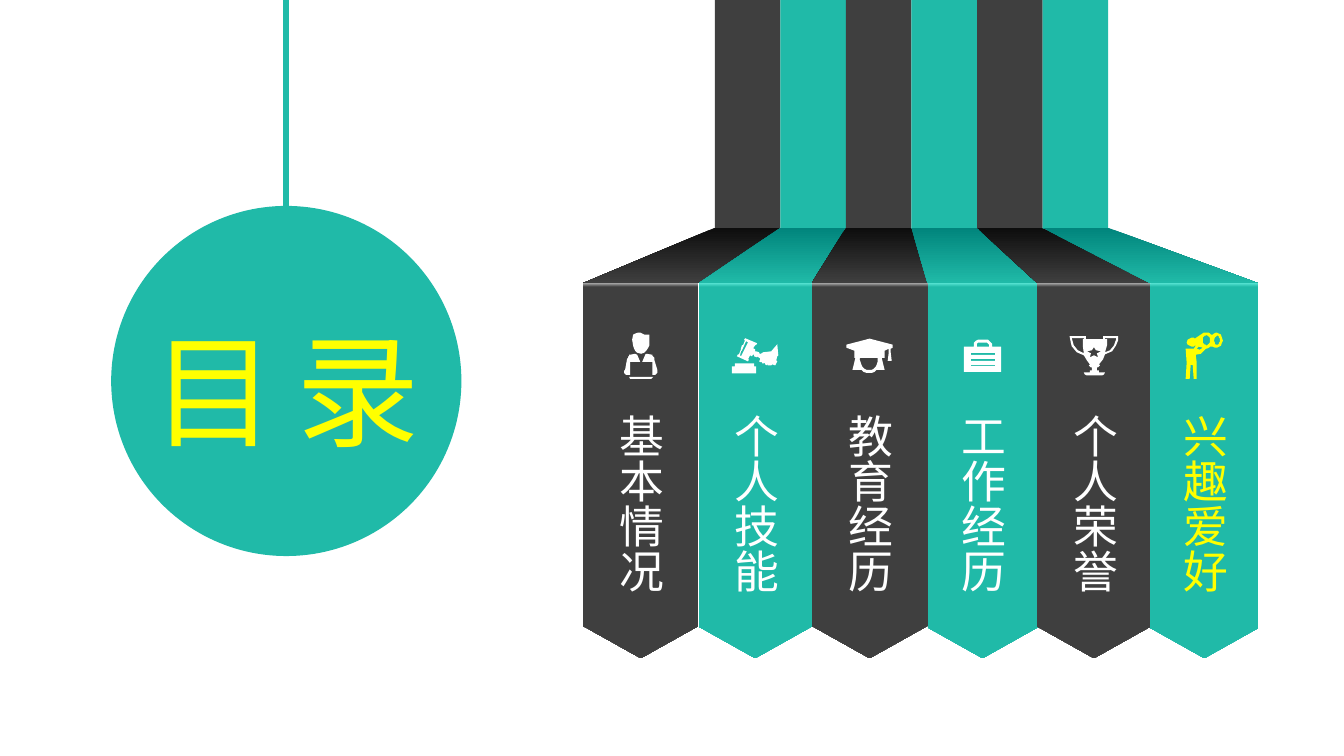
import pptx
import pptx.util
import pptx.dml.color
import pptx.enum.shapes
import pptx.enum.text
import pptx.oxml
from dataclasses import dataclass

Inches = pptx.util.Inches
Kind = pptx.enum.shapes.MSO_SHAPE


@dataclass(frozen=True)
class Theme:
    font: str = "Noto Sans CJK SC"
    teal: str = "20BAA8"
    deep: str = "01857C"
    mint: str = "54E2D1"
    gray: str = "3F3F3F"
    dark: str = "0D0D0D"
    pale: str = "A6A6A6"
    white: str = "FFFFFF"
    gold: str = "FFFF00"
    large: int = 88
    small: int = 32


def tint(code):
    return pptx.dml.color.RGBColor.from_string(code)


def write(frame, text, *, font, size, color, gap=0, vert=None):
    frame.word_wrap = False
    frame.auto_size = pptx.enum.text.MSO_AUTO_SIZE.SHAPE_TO_FIT_TEXT
    frame.vertical_anchor = pptx.enum.text.MSO_ANCHOR.MIDDLE
    if vert:
        frame._txBody.bodyPr.set("vert", vert)
    para = frame.paragraphs[0]
    para.alignment = pptx.enum.text.PP_ALIGN.LEFT
    run = para.add_run()
    run.text = text
    run.font.name = font
    run.font.size = pptx.util.Pt(size)
    run.font.color.rgb = tint(color)
    props = run.font._element
    if gap:
        props.set("spc", str(gap * 100))
    east = pptx.oxml.parse_xml(
        '<a:ea xmlns:a="http://schemas.openxmlformats.org/drawingml/2006/main"/>')
    east.set("typeface", font)
    props.find(pptx.oxml.ns.qn("a:latin")).addnext(east)


class Deck:
    def __init__(self, theme):
        self.theme = theme
        self.show = pptx.Presentation()
        self.show.slide_width = Inches(13.33)
        self.show.slide_height = Inches(7.5)
        self.slide = self.show.slides.add_slide(self.show.slide_layouts[5])
        self.shapes = self.slide.shapes

    def paint(self, shape, fill, angle=0, stop=1):
        shape.shadow.inherit = False
        shape.line.fill.background()
        if isinstance(fill, str):
            shape.fill.solid()
            shape.fill.fore_color.rgb = tint(fill)
            return
        shape.fill.gradient()
        shape.fill.gradient_angle = angle
        for mark, code, place in zip(shape.fill.gradient_stops, fill, (0, stop)):
            mark.color.rgb = tint(code)
            mark.position = place

    def shape(self, kind, left, top, width, height, fill, **style):
        item = self.shapes.add_shape(
            kind, Inches(left), Inches(top), Inches(width), Inches(height))
        self.paint(item, fill, **style)
        return item

    def free(self, loops, left, top, fill, **style):
        pen = self.shapes.build_freeform(*loops[0][0], scale=Inches(0.01))
        for turn, loop in enumerate(loops):
            if turn:
                pen.move_to(*loop[0])
            pen.add_line_segments(loop[1:], close=True)
        self.paint(pen.convert_to_shape(Inches(left), Inches(top)), fill, **style)

    def icon(self, code, mid, level, fill):
        loops = [[tuple(map(int, dot.split(","))) for dot in part.split()]
                 for part in code.split("/")]
        dots = sum(loops, [])
        width, height = (max(axis) / 100 for axis in zip(*dots))
        self.free(loops, mid - width / 2, level - height / 2, fill)

    def line(self, start, end, color, width):
        item = self.shapes.add_connector(
            pptx.enum.shapes.MSO_CONNECTOR.STRAIGHT, *map(Inches, start + end))
        item.line.color.rgb = tint(color)
        item.line.width = pptx.util.Pt(width)
        item._element.spPr.append(pptx.oxml.parse_xml(
            '<a:effectLst xmlns:a="http://schemas.openxmlformats.org/drawingml/2006/main"/>'))

    def title(self, text, left, top, width, height, **style):
        item = self.shapes.title
        item.left, item.top = Inches(left), Inches(top)
        item.width, item.height = Inches(width), Inches(height)
        self.shapes._spTree.append(item._element)
        write(item.text_frame, text, font=self.theme.font, **style)

    def label(self, text, left, top, width, height, **style):
        item = self.shapes.add_textbox(
            Inches(left), Inches(top), Inches(width), Inches(height))
        write(item.text_frame, text, font=self.theme.font, **style)


PERSON = (
    "5,44 29,44 27,46 6,46 / 11,21 13,22 16,29 6,29 6,42 2,42 1,41 0,40 0,38 1,37 "
    "3,26 4,25 4,24 5,23 5,22 6,22 / 22,21 28,22 28,23 29,24 30,25 30,27 33,37 33,40 "
    "32,41 31,42 28,42 28,29 18,29 21,22 / 14,0 16,0 18,1 20,2 25,2 25,13 24,15 22,18 "
    "20,20 17,21 13,20 11,18 10,16 9,13 8,7 9,2 11,1")
GAVEL = (
    "3,25 22,25 22,28 24,28 24,35 0,35 0,28 3,28 / 14,3 10,12 9,13 8,17 9,18 11,14 "
    "12,12 16,4 / 13,0 25,5 24,7 23,7 21,10 23,11 23,13 24,13 27,14 27,15 30,16 29,15 "
    "31,14 39,13 45,6 46,17 45,18 44,22 45,23 44,25 43,27 40,26 39,27 36,27 36,25 "
    "35,27 33,26 33,24 32,25 30,25 30,23 29,24 27,23 28,21 28,20 25,18 25,19 22,18 "
    "22,17 21,16 20,18 18,17 16,21 17,21 16,23 5,18 6,16 7,16 9,11 9,10 10,7 11,7 "
    "13,2 12,2")
CAP = (
    "14,19 13,20 14,23 15,26 16,28 18,30 20,31 25,31 27,30 29,28 30,26 31,23 31,19 / "
    "23,0 46,6 46,9 44,10 44,14 45,22 41,22 42,14 42,10 38,12 38,19 35,19 38,31 30,31 "
    "28,33 25,34 20,34 17,33 15,31 6,31 9,19 8,19 8,12 0,9 0,6")
CASE = (
    "7,25 7,26 31,26 31,25 / 7,19 7,21 31,21 31,19 / 7,13 7,15 31,15 31,13 / "
    "15,3 14,3 13,4 13,7 25,7 25,5 24,4 23,3 / 15,0 24,0 25,1 26,2 27,3 28,4 28,7 "
    "37,7 37,32 0,32 0,7 10,7 10,3 11,2 12,1 14,0")
CUP = (
    "35,0 33,0 33,3 16,3 16,0 0,0 0,1 1,6 2,10 7,16 14,19 17,24 20,28 19,29 21,31 "
    "22,31 22,34 20,34 20,36 14,36 15,38 17,39 32,39 34,38 35,36 29,36 29,34 27,34 "
    "27,31 28,31 30,29 29,28 33,23 35,18 42,15 46,9 48,4 48,0 / 14,3 13,3 13,10 14,17 "
    "8,14 4,9 2,2 14,2 / 27,17 28,21 24,19 20,21 21,17 17,15 22,14 24,11 26,14 31,15 / "
    "44,9 40,14 35,16 37,9 37,3 35,3 35,2 46,2 46,3")
SCOUT = (
    "13,14 17,15 14,17 11,16 / 31,3 32,3 33,4 33,5 34,6 34,9 33,10 33,11 32,12 30,12 "
    "29,11 29,10 28,8 29,5 30,4 / 21,2 21,3 22,3 23,4 24,5 24,10 23,11 22,12 21,13 "
    "20,12 19,12 18,11 17,10 17,5 18,4 19,3 20,3 / 21,0 18,0 9,6 8,5 6,5 4,6 2,7 1,10 "
    "2,12 4,13 6,14 8,14 9,13 10,13 8,16 0,16 1,30 0,46 4,46 5,32 7,32 8,46 11,46 "
    "11,30 10,22 15,21 20,16 21,16 23,15 24,14 27,14 29,15 31,15 33,14 35,13 36,10 "
    "37,8 36,5 35,2 33,1 31,0 30,0 28,1 27,2 25,2 23,0")

theme = Theme()
deck = Deck(theme)

deck.line((2.84, 0), (2.84, 2.76), theme.teal, 4.5)
disc = deck.shape(Kind.OVAL, 1.11, 2.05, 3.46, 3.46, theme.teal)
disc.line.color.rgb = tint(theme.teal)
disc.line.width = pptx.util.Pt(1)
deck.title("目录", 1.41, 3.06, 3.06, 1.58, size=theme.large, color=theme.gold, gap=15)

topics = [("基本情况", PERSON), ("个人技能", GAVEL), ("教育经历", CAP),
          ("工作经历", CASE), ("个人荣誉", CUP), ("兴趣爱好", SCOUT)]
edges = [5.78, 6.93, 8.05, 9.2, 10.29, 11.41, 12.48]
tones = [(theme.gray, theme.dark, theme.pale), (theme.teal, theme.deep, theme.mint)]
first, step, bend, fold, tip = 7.09, 0.65, 2.26, 2.81, 6.53
long = tip - fold

for spot, (text, code) in enumerate(topics):
    base, shade, shine = tones[spot % 2]
    ink = theme.gold if spot == len(topics) - 1 else theme.white
    left, right = edges[spot:spot + 2]
    mid, wide = (left + right) / 2, right - left
    near = first + step * spot
    deck.shape(Kind.RECTANGLE, near, -1.3, step, 3.57, base)
    slope = [(near, bend), (near + step, bend), (right, fold), (left, fold)]
    deck.free([[(round(x * 100), round(y * 100)) for x, y in slope]], 0, 0,
              (shade, base), angle=270)
    plate = deck.shape(Kind.PENTAGON, mid - long / 2, (fold + tip - wide) / 2,
                       long, wide, (shine, base), stop=0.01)
    plate.rotation = 90
    plate.adjustments[0] = 0.28
    deck.label(text, mid - 0.37, 4.01, 0.74, 1.9,
               size=theme.small, color=ink, vert="eaVert")
    deck.icon(code, mid, 3.53, ink)

deck.show.save("out.pptx")
